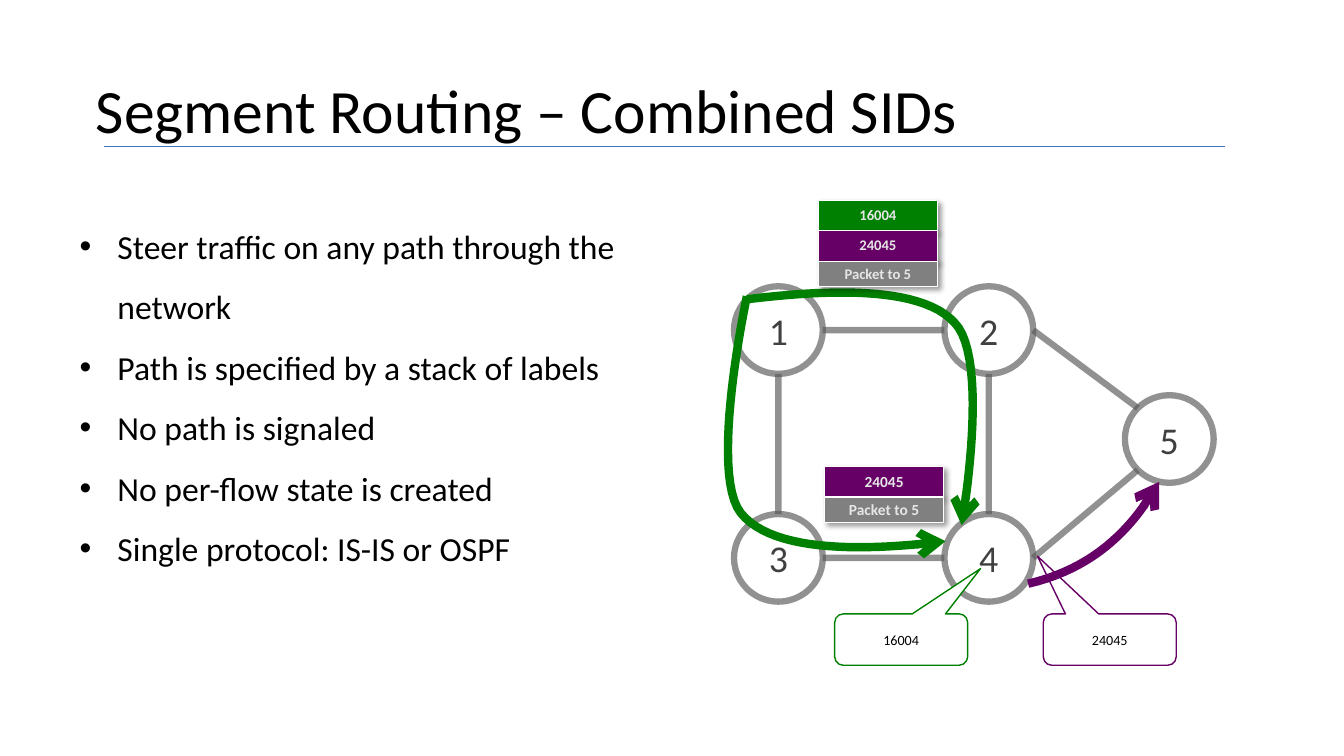
from math import cos, pi, sin

from lxml import etree
from pptx import Presentation
from pptx.dml.color import RGBColor
from pptx.enum.shapes import MSO_CONNECTOR, MSO_SHAPE
from pptx.enum.text import MSO_ANCHOR, MSO_AUTO_SIZE, PP_ALIGN
from pptx.oxml.ns import qn
from pptx.util import Pt

OVAL, RECTANGLE = MSO_SHAPE.OVAL, MSO_SHAPE.RECTANGLE
CALLOUT = MSO_SHAPE.ROUNDED_RECTANGULAR_CALLOUT
STRAIGHT = MSO_CONNECTOR.STRAIGHT
LEFT, CENTER = PP_ALIGN.LEFT, PP_ALIGN.CENTER
TOP, MIDDLE = MSO_ANCHOR.TOP, MSO_ANCHOR.MIDDLE
NO_AUTOFIT = MSO_AUTO_SIZE.NONE

BLACK = RGBColor(0x00, 0x00, 0x00)
WHITE = RGBColor(0xFF, 0xFF, 0xFF)
BLUE = RGBColor(0x44, 0x72, 0xC4)
GREEN = RGBColor(0x00, 0x80, 0x00)
PURPLE = RGBColor(0x66, 0x00, 0x66)
GRAY = RGBColor(0x80, 0x80, 0x80)
NETWORK_GRAY = RGBColor(0x59, 0x59, 0x59)
NODE_TEXT = RGBColor(0x40, 0x40, 0x40)
LABEL_TEXT = RGBColor(0xE7, 0xE6, 0xE6)

FONT = "Calibri"
NODE_WIDTH, NODE_HEIGHT = 63.4, 62.6
NODES = {"1": (36, 92.8), "2": (186.3, 92.8), "3": (36, 255.5),
         "4": (186.3, 255.5), "5": (315.2, 170.6)}
# Each link: node and clockwise angle (degrees from the right) at both ends
LINKS = [("1", 0, "2", 180), ("3", 0, "4", 180), ("4", 270, "2", 90),
         ("2", 0, "5", 225), ("4", 0, "5", 135), ("3", 270, "1", 90)]
# Each path: a start point, then three Bezier points per curve
UPPER_PATH = [(13.5, 70.8), (66.1, 64.4), (136.6, 60), (161.8, 87.4),
              (187.8, 114), (166.9, 232.1), (166.9, 232.1)]
LOWER_PATH = [(13.5, 68.7), (13.5, 68.7), (-13.8, 194.7), (9.2, 223.5),
              (33, 253), (102.8, 250.1), (155.4, 243.6)]
LAST_PATH = [(214.4, 273.9), (271.3, 260.9), (295.8, 222), (308, 201.2)]
CURVE_STEPS = 24

BULLETS = ["Steer traffic on any path through the network",
           "Path is specified by a stack of labels",
           "No path is signaled",
           "No per-flow state is created",
           "Single protocol: IS-IS or OSPF"]


def write_text(paragraph, text, size, color=BLACK, bold=False, align=LEFT, spacing=None):
    paragraph.alignment = align
    paragraph.line_spacing = spacing
    paragraph.space_before = Pt(0)
    run = paragraph.add_run()
    run.text = text
    run.font.name, run.font.size, run.font.bold = FONT, Pt(size), bold
    run.font.color.rgb = color


def set_line(shape, color, width, opacity=None):
    shape.line.color.rgb = color
    shape.line.width = Pt(width)
    if opacity:
        color_element = shape.line.fill._xPr.find(".//" + qn("a:srgbClr"))
        etree.SubElement(color_element, qn("a:alpha"), val=str(opacity * 1000))


def place(shape, left, top, width, height):
    shape.left, shape.top = Pt(left), Pt(top)
    shape.width, shape.height = Pt(width), Pt(height)


def add_box(shapes, kind, box, fill, line, width, opacity=None):
    shape = shapes.add_shape(kind, *(Pt(length) for length in box))
    shape.shadow.inherit = False
    if fill is None:
        shape.fill.background()
    else:
        shape.fill.solid()
        shape.fill.fore_color.rgb = fill
    set_line(shape, line, width, opacity)
    shape.text_frame.vertical_anchor = MIDDLE
    return shape


def add_line(shapes, start, end, color, width, opacity=None):
    line = shapes.add_connector(STRAIGHT, *(Pt(value) for value in (*start, *end)))
    set_line(line, color, width, opacity)
    etree.SubElement(line._element.spPr, qn("a:effectLst"))


def add_title(slide, left, top, width, height):
    title = slide.shapes.title
    place(title, left, top, width, height)
    title.text_frame.auto_size = NO_AUTOFIT
    title.text_frame.vertical_anchor = MIDDLE
    write_text(title.text_frame.paragraphs[0], "Segment Routing – Combined SIDs",
               size=44, spacing=0.9)
    # Rule under the title
    add_line(slide.shapes, (left + 13, top + 56.9), (left + 813.6, top + 56.9), BLUE, 0.5)


def add_bullets(slide, left, top, width, height):
    body = slide.placeholders[1]
    place(body, left, top, width, height)
    frame = body.text_frame
    frame.auto_size = NO_AUTOFIT
    frame.vertical_anchor = TOP
    for index, text in enumerate(BULLETS):
        paragraph = frame.add_paragraph() if index else frame.paragraphs[0]
        write_text(paragraph, text, size=24, spacing=1.5)
        properties = paragraph._p.get_or_add_pPr()
        properties.set("marL", str(Pt(27)))
        properties.set("indent", str(Pt(-27)))
        etree.SubElement(properties, qn("a:buFont"), typeface="Arial")
        etree.SubElement(properties, qn("a:buChar"), char="•")


def add_network(shapes, left, top):
    for name, (x, y) in NODES.items():
        box = (left + x - NODE_WIDTH / 2, top + y - NODE_HEIGHT / 2, NODE_WIDTH, NODE_HEIGHT)
        node = add_box(shapes, OVAL, box, None, NETWORK_GRAY, 4.5, opacity=65)
        write_text(node.text_frame.paragraphs[0], name, size=27, color=NODE_TEXT, align=CENTER)

    def rim(name, degrees):
        x, y = NODES[name]
        angle = degrees * pi / 180
        return (left + x + NODE_WIDTH / 2 * cos(angle),
                top + y + NODE_HEIGHT / 2 * sin(angle))

    for start, start_angle, end, end_angle in LINKS:
        add_line(shapes, rim(start, start_angle), rim(end, end_angle),
                 NETWORK_GRAY, 4.5, opacity=65)


def curve_points(points):
    for first in range(0, len(points) - 1, 3):
        a, b, c, d = points[first:first + 4]
        for step in range(1, CURVE_STEPS + 1):
            t = step / CURVE_STEPS
            u = 1 - t
            yield tuple(u ** 3 * a[axis] + 3 * u * u * t * b[axis]
                        + 3 * u * t * t * c[axis] + t ** 3 * d[axis] for axis in (0, 1))


def add_path(shapes, left, top, points, color):
    start_x, start_y = points[0]
    builder = shapes.build_freeform(Pt(left + start_x), Pt(top + start_y))
    builder.add_line_segments([(Pt(left + x), Pt(top + y)) for x, y in curve_points(points)],
                              close=False)
    path = builder.convert_to_shape()
    path.shadow.inherit = False
    path.fill.background()
    set_line(path, color, 6)
    etree.SubElement(path.line._get_or_add_ln(), qn("a:tailEnd"), type="arrow")


def add_callout(shapes, left, top, text, color, adjustments):
    callout = add_box(shapes, CALLOUT, (left, top, 95, 36.7), WHITE, color, 1)
    for index, value in enumerate(adjustments):
        callout.adjustments[index] = value
    write_text(callout.text_frame.paragraphs[0], text, size=10.1, align=CENTER)


def add_shadow(shape):
    effects = shape._element.spPr.find(qn("a:effectLst"))
    shadow = etree.SubElement(effects, qn("a:outerShdw"), blurRad=str(Pt(4)),
                              dist=str(Pt(3)), dir="2700000")
    color = etree.SubElement(shadow, qn("a:srgbClr"), val=str(BLACK))
    etree.SubElement(color, qn("a:alpha"), val="40000")


def add_stack(shapes, left, top, labels, size):
    rows = [(text, fill, 22.3, TOP) for text, fill in labels]
    rows.append(("Packet to 5", GRAY, 18, MIDDLE))
    for index, (text, fill, height, anchor) in enumerate(rows):
        row = add_box(shapes, RECTANGLE, (left, top + index * 21.6, 85, height),
                      fill, WHITE, 0.75)
        add_shadow(row)
        row.text_frame.vertical_anchor = anchor
        write_text(row.text_frame.paragraphs[0], text, size=size, color=LABEL_TEXT,
                   bold=True, align=CENTER)


def add_diagram(slide, left, top):
    shapes = slide.shapes.add_group_shape().shapes
    add_network(shapes, left, top)
    add_path(shapes, left, top, UPPER_PATH, GREEN)
    # Segment callouts
    add_callout(shapes, left + 76.2, top + 295.5, "16004", GREEN, (0.597, -1.382, 0.167))
    add_callout(shapes, left + 225.2, top + 295.5, "24045", PURPLE, (-0.544, -1.625, 0.167))
    # Label stacks
    add_stack(shapes, left + 64.6, top + 0.3, [("16004", GREEN), ("24045", PURPLE)], 10.5)
    add_stack(shapes, left + 69, top + 190.4, [("24045", PURPLE)], 11)
    add_path(shapes, left, top, LAST_PATH, PURPLE)
    add_path(shapes, left, top, LOWER_PATH, GREEN)


def main():
    presentation = Presentation()
    presentation.slide_width, presentation.slide_height = Pt(960), Pt(540)
    slide = presentation.slides.add_slide(presentation.slide_layouts[1])
    add_title(slide, 61.2, 47.5, 780, 67.7)
    add_bullets(slide, 49.7, 143.3, 430.6, 264.2)
    add_diagram(slide, 520, 143)
    presentation.save("out.pptx")


if __name__ == "__main__":
    main()
